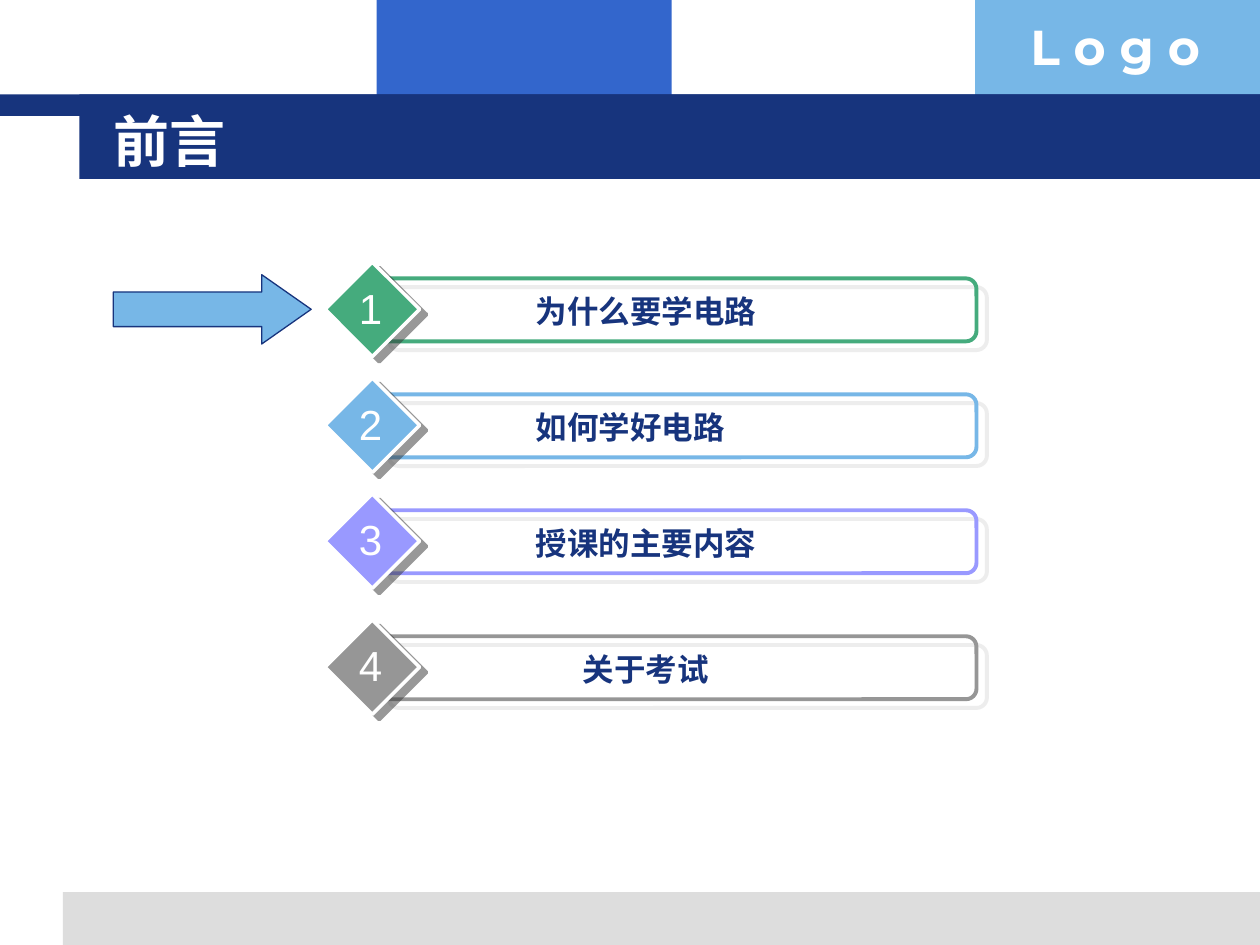
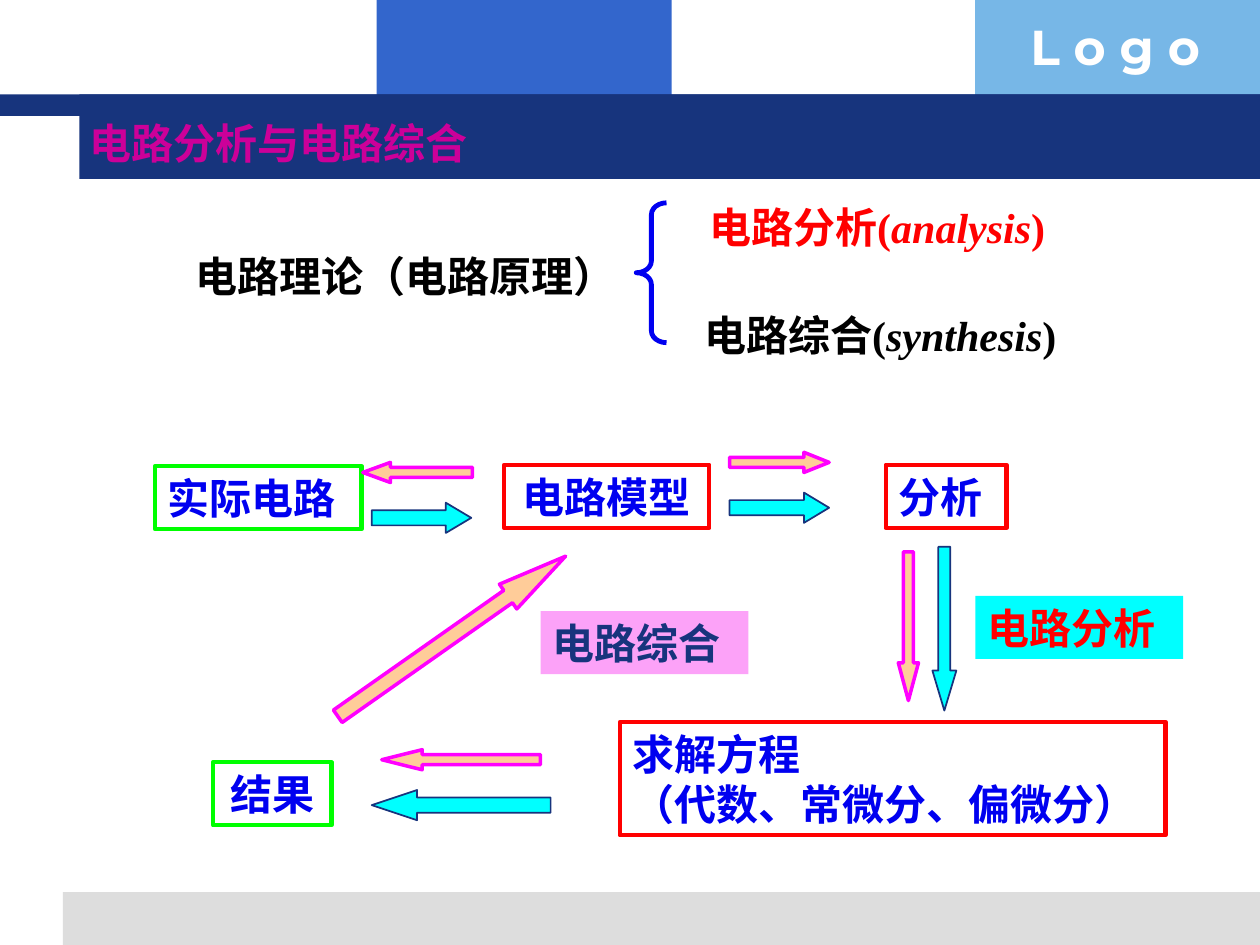
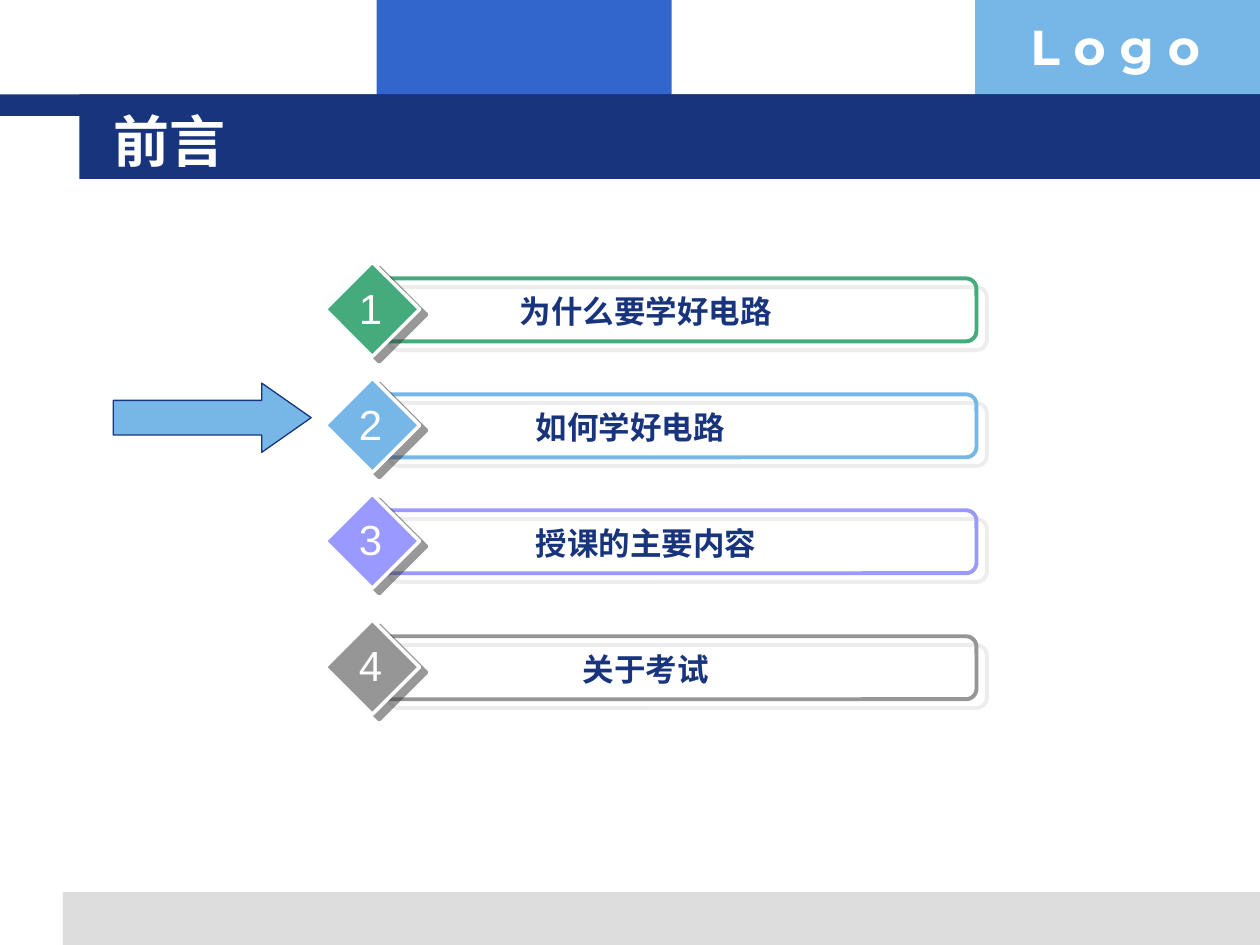
from dataclasses import dataclass
from typing import NamedTuple

from lxml.etree import SubElement
from pptx import Presentation
from pptx.dml.color import RGBColor
from pptx.enum.shapes import MSO_SHAPE as Preset
from pptx.enum.text import MSO_ANCHOR as Anchor, MSO_AUTO_SIZE as AutoSize, PP_ALIGN as Align
from pptx.oxml.ns import qn
from pptx.util import Inches, Pt


@dataclass(frozen=True)
class Theme:
    navy: str = "17347D"
    royal: str = "3366CC"
    sky: str = "77B7E7"
    pale_grey: str = "DDDDDD"
    dark_grey: str = "333333"
    grey: str = "969696"
    green: str = "45AB7D"
    violet: str = "9999FF"
    white: str = "FFFFFF"
    black: str = "000000"
    blue: str = "0000F0"
    red: str = "FF0000"
    lime: str = "00FF00"
    cyan: str = "00FFFF"
    magenta: str = "FF00FF"
    peach: str = "FFCC99"
    pink: str = "FCA2F8"
    plum: str = "CC0099"
    sans: str = "Arial"
    serif: str = "Times New Roman"
    title_font: str = "DejaVu Sans"
    logo_font: str = "Montserrat"
    title_size: int = 32
    logo_size: int = 28
    text_size: int = 24
    entry_size: int = 18


THEME = Theme()


class Box(NamedTuple):
    left: float
    top: float
    width: float
    height: float

    def inside(self, dx, dy, width, height):
        return Box(self.left + dx, self.top + dy, width, height)

    def lengths(self):
        return [Inches(value) for value in self]


class Style(NamedTuple):
    color: str
    size: int = THEME.text_size
    font: str = THEME.serif
    bold: bool = True


def rgb(color):
    return RGBColor.from_string(color)


def add_shadow(shape, color, distance, angle):
    effects = shape._element.spPr.find(qn("a:effectLst"))
    shadow = SubElement(effects, qn("a:outerShdw"), dist=str(Pt(distance)),
                        dir=str(angle * 60000), algn="ctr", rotWithShape="0")
    tint = SubElement(shadow, qn("a:srgbClr"), val=color)
    SubElement(tint, qn("a:alpha"), val="50000")


def draw(shapes, preset, box, fill=None, line=None, weight=1, adjust=()):
    shape = shapes.add_shape(preset, *box.lengths())
    shape.shadow.inherit = False
    if fill:
        shape.fill.solid()
        shape.fill.fore_color.rgb = rgb(fill)
    else:
        shape.fill.background()
    if line:
        shape.line.color.rgb = rgb(line)
        shape.line.width = Pt(weight)
    else:
        shape.line.fill.background()
    for index, value in enumerate(adjust):
        shape.adjustments[index] = value
    return shape


def write(shape, text, style, align=Align.LEFT, anchor=Anchor.TOP, wrap=True, grow=True):
    frame = shape.text_frame
    frame.word_wrap = wrap
    frame.vertical_anchor = anchor
    frame.auto_size = AutoSize.SHAPE_TO_FIT_TEXT if grow else AutoSize.NONE
    frame.text = text
    for paragraph in frame.paragraphs:
        paragraph.alignment = align
        font = paragraph.font
        font.name, font.size, font.bold = style.font, Pt(style.size), style.bold
        font.color.rgb = rgb(style.color)
    return frame


def write_box(shapes, box, text, style, **options):
    return write(shapes.add_textbox(*box.lengths()), text, style, **options)


def draw_frame(slide, page):
    shapes = slide.shapes
    for box, color in [
        (page.inside(2.99, 0, 2.34, 0.92), THEME.royal),
        (page.inside(7.74, 0, 2.26, 0.92), THEME.sky),
        (page.inside(0.5, 7.08, 9.5, 0.42), THEME.pale_grey),
        (page.inside(0, 0.75, 10, 0.17), THEME.navy),
        (page.inside(0.63, 0.75, 9.37, 0.67), THEME.navy),
    ]:
        draw(shapes, Preset.RECTANGLE, box, color)
    write_box(shapes, page.inside(8.08, 0.08, 1.93, 0.57), "L o g o",
              Style(THEME.white, THEME.logo_size, THEME.logo_font))


def draw_entry(slide, box, number, topic, color):
    shapes = slide.shapes.add_group_shape().shapes
    bar = draw(shapes, Preset.ROUNDED_RECTANGLE, box.inside(0.42, 0.13, 4.75, 0.5),
               line=color, weight=2.25, adjust=[0.167])
    add_shadow(bar, THEME.pale_grey, 7.8, 40)
    badge = draw(shapes, Preset.DIAMOND, box.inside(0, 0, 0.75, 0.75), color, THEME.white, 2)
    add_shadow(badge, THEME.dark_grey, 5, 37)
    write_box(shapes, box.inside(0.67, 0.19, 3.75, 0.4), topic,
              Style(THEME.navy, THEME.entry_size, THEME.sans), align=Align.CENTER)
    write_box(shapes, box.inside(0.17, 0.11, 0.38, 0.5), str(number),
              Style(THEME.white, font=THEME.sans, bold=False), align=Align.CENTER, wrap=False)


def build_agenda(slide, page, first_topic, pointer_top):
    draw_frame(slide, page)
    write_box(slide.shapes, page.inside(0.8, 0.8, 8.53, 0.62), "前言",
              Style(THEME.white, THEME.title_size, THEME.title_font),
              anchor=Anchor.MIDDLE, grow=False)
    entries = [
        (2.08, first_topic, THEME.green),
        (3, "如何学好电路　", THEME.sky),
        (3.92, "授课的主要内容", THEME.violet),
        (4.92, "关于考试", THEME.grey),
    ]
    for number, (top, topic, color) in enumerate(entries, 1):
        draw_entry(slide, page.inside(2.58, top, 5.17, 0.75), number, topic, color)
    draw(slide.shapes, Preset.RIGHT_ARROW, page.inside(0.9, pointer_top, 1.57, 0.55),
         THEME.sky, THEME.navy, 0.75, [0.5, 0.713])


def draw_branches(slide, box):
    shapes = slide.shapes
    write_box(shapes, box.inside(0, 0.39, 3.87, 0.5), "电路理论（电路原理）",
              Style(THEME.black), align=Align.CENTER)
    draw(shapes, Preset.LEFT_BRACE, box.inside(3.77, 0.06, 0.24, 1.11),
         line=THEME.blue, weight=2.75, adjust=[0.39, 0.5])
    for dx, dy, width, topic, english, color in [
        (4.25, 0, 3.25, "电路分析", "analysis", THEME.red),
        (4.21, 0.86, 3.07, "电路综合", "synthesis", THEME.black),
    ]:
        frame = write_box(shapes, box.inside(dx, dy, width, 0.5), topic + "(", Style(color))
        term, closing = (frame.paragraphs[0].add_run() for _ in range(2))
        term.text, closing.text = english, ")"
        term.font.italic = True


def draw_flow(slide, box):
    shapes = slide.shapes
    for place, text, border, align in [
        ((0.03, 0.2, 1.64, 0.5), "实际电路", THEME.lime, Align.LEFT),
        ((2.8, 0.19, 1.63, 0.5), "电路模型", THEME.red, Align.CENTER),
        ((5.83, 0.19, 0.96, 0.5), "分析", THEME.red, Align.LEFT),
        ((3.72, 2.23, 4.33, 0.9), "求解方程\n（代数、常微分、偏微分）", THEME.red, Align.LEFT),
        ((0.49, 2.55, 0.94, 0.5), "结果", THEME.lime, Align.CENTER),
    ]:
        node = draw(shapes, Preset.RECTANGLE, box.inside(*place), line=border, weight=2.5)
        write(node, text, Style(THEME.blue), align=align, anchor=Anchor.MIDDLE)

    analysis = (THEME.cyan, THEME.navy, 1)
    synthesis = (THEME.peach, THEME.magenta, 2)
    for look, preset, place, head, turn in [
        (analysis, Preset.RIGHT_ARROW, (1.75, 0.49, 0.79, 0.24), 0.84, 0),
        (analysis, Preset.RIGHT_ARROW, (4.59, 0.41, 0.79, 0.24), 0.83, 0),
        (analysis, Preset.DOWN_ARROW, (6.2, 0.84, 0.19, 1.3), 1.67, 0),
        (analysis, Preset.LEFT_ARROW, (1.75, 2.77, 1.42, 0.24), 1.5, 0),
        (synthesis, Preset.RIGHT_ARROW, (1.28, 1.43, 2.21, 0.24), 2.32, 324.9),
        (synthesis, Preset.RIGHT_ARROW, (4.59, 0.09, 0.79, 0.16), 1.25, 0),
        (synthesis, Preset.DOWN_ARROW, (5.93, 0.88, 0.16, 1.18), 1.87, 0),
        (synthesis, Preset.LEFT_ARROW, (1.83, 2.45, 1.26, 0.16), 2.01, 0),
        (synthesis, Preset.LEFT_ARROW, (1.68, 0.17, 0.87, 0.16), 1.37, 0),
    ]:
        arrow = draw(shapes, preset, box.inside(*place), *look, adjust=[0.5, head])
        arrow.rotation = turn

    for dx, dy, text, fill, color in [
        (6.54, 1.23, "电路分析", THEME.cyan, THEME.red),
        (3.09, 1.35, "电路综合", THEME.pink, THEME.navy),
    ]:
        label = draw(shapes, Preset.RECTANGLE, box.inside(dx, dy, 1.65, 0.5), fill)
        write(label, text, Style(color))


def build_comparison(slide, page):
    draw_frame(slide, page)
    write_box(slide.shapes, page.inside(0.61, 0.88, 4.02, 0.5), "电路分析与电路综合",
              Style(THEME.plum), anchor=Anchor.MIDDLE)
    draw_branches(slide, page.inside(1.28, 1.55, 7.5, 1.36))
    draw_flow(slide, page.inside(1.2, 3.5, 8.2, 3.13))


def main():
    deck = Presentation()
    page = Box(0, 0, 10, 7.5)
    deck.slide_width, deck.slide_height = Inches(page.width), Inches(page.height)
    blank = deck.slide_layouts[6]
    build_agenda(deck.slides.add_slide(blank), page, "为什么要学电路", 2.18)
    build_comparison(deck.slides.add_slide(blank), page)
    build_agenda(deck.slides.add_slide(blank), page, "为什么要学好电路", 3.04)
    deck.save("out.pptx")


if __name__ == "__main__":
    main()
